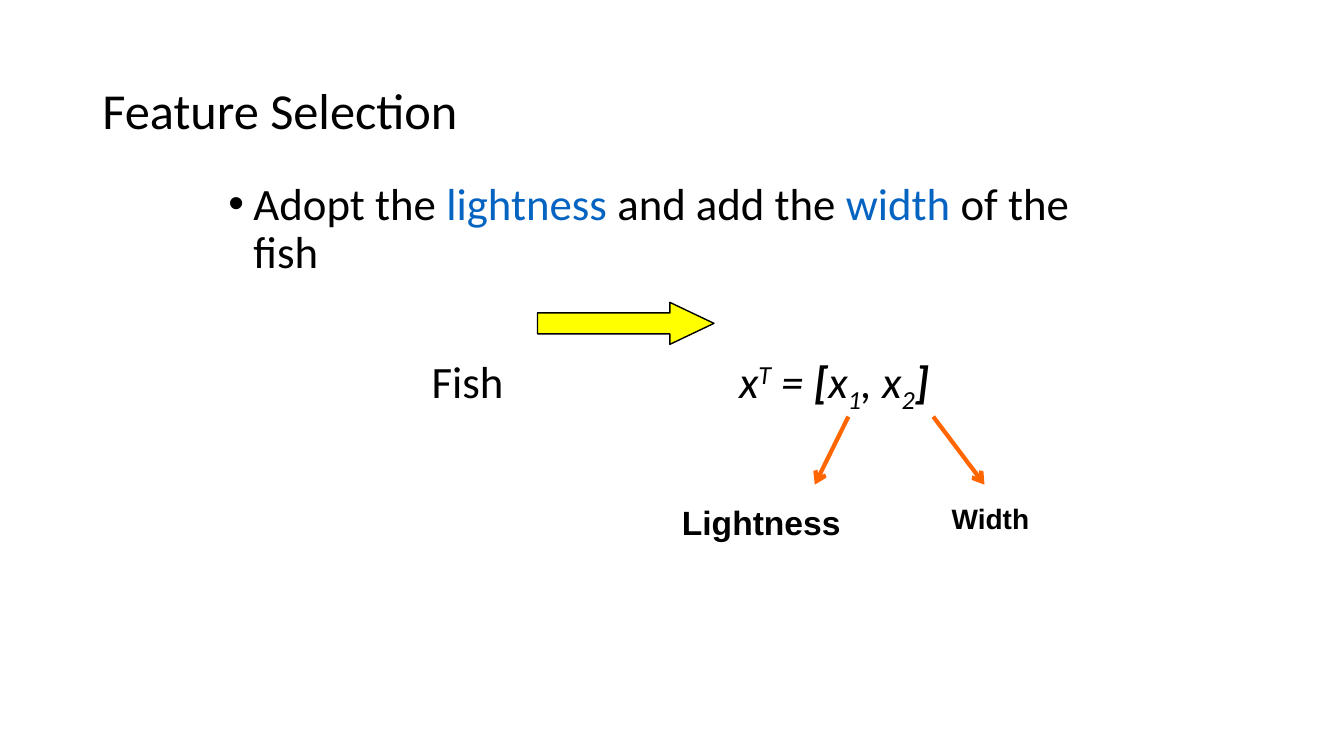
import pptx
import pptx.dml.color
import pptx.enum.shapes
import pptx.enum.text
import pptx.oxml.ns
import pptx.util
from lxml import etree

BLACK = pptx.dml.color.RGBColor(0x00, 0x00, 0x00)
BLUE = pptx.dml.color.RGBColor(0x05, 0x63, 0xC1)
YELLOW = pptx.dml.color.RGBColor(0xFF, 0xFF, 0x00)
ORANGE = pptx.dml.color.RGBColor(0xFF, 0x66, 0x00)

WIDTH = pptx.util.Inches(13.33)
HEIGHT = pptx.util.Inches(7.5)
COLUMNS = 160
ROWS = 90
SUPERSCRIPT = 30000
SUBSCRIPT = -25000


def column(count):
    """Return the length of a number of grid columns."""
    return round(WIDTH * count / COLUMNS)


def row(count):
    """Return the length of a number of grid rows."""
    return round(HEIGHT * count / ROWS)


def place(left, top, width, height):
    """Turn a grid position into slide lengths."""
    return column(left), row(top), column(width), row(height)


def add_run(paragraph, text, size, font="Calibri", color=BLACK, bold=False, italic=False, baseline=0):
    """Add one formatted run to a paragraph."""
    run = paragraph.add_run()
    run.text = text
    run.font.name = font
    run.font.size = pptx.util.Pt(size)
    run.font.color.rgb = color
    run.font.bold = bold
    run.font.italic = italic
    if baseline:
        run.font._element.set("baseline", str(baseline))


def add_text(slide, position, wrap=True, spacing=0.9):
    """Add a text box and return its paragraph."""
    frame = slide.shapes.add_textbox(*place(*position)).text_frame
    frame.word_wrap = wrap
    paragraph = frame.paragraphs[0]
    paragraph.line_spacing = spacing
    return paragraph


def set_title(slide, text):
    """Position and format the title placeholder."""
    title = slide.shapes.title
    title.left, title.top, title.width, title.height = place(11, 4.8, 138, 17.4)
    frame = title.text_frame
    frame.auto_size = pptx.enum.text.MSO_AUTO_SIZE.NONE
    frame.vertical_anchor = pptx.enum.text.MSO_ANCHOR.MIDDLE
    paragraph = frame.paragraphs[0]
    paragraph.alignment = pptx.enum.text.PP_ALIGN.LEFT
    paragraph.line_spacing = 0.9
    add_run(paragraph, text, 36)


def add_bullet(paragraph):
    """Give a paragraph a hanging round bullet."""
    properties = paragraph._p.get_or_add_pPr()
    indent = pptx.util.Inches(0.25)
    properties.set("marL", str(indent))
    properties.set("indent", str(-indent))
    font = etree.SubElement(properties, pptx.oxml.ns.qn("a:buFont"))
    font.set("typeface", "Arial")
    bullet = etree.SubElement(properties, pptx.oxml.ns.qn("a:buChar"))
    bullet.set("char", "•")


def add_block_arrow(slide, position):
    """Add the yellow arrow from the fish to its features."""
    shape = slide.shapes.add_shape(pptx.enum.shapes.MSO_SHAPE.RIGHT_ARROW, *place(*position))
    shape.adjustments[1] = 1.05
    shape.shadow.inherit = False
    shape.fill.solid()
    shape.fill.fore_color.rgb = YELLOW
    shape.line.color.rgb = BLACK
    shape.line.width = pptx.util.Pt(1)


def add_pointer(slide, start, end):
    """Add an orange line with an open arrowhead at its end."""
    connector = slide.shapes.add_connector(
        pptx.enum.shapes.MSO_CONNECTOR.STRAIGHT,
        column(start[0]), row(start[1]), column(end[0]), row(end[1]))
    connector.line.color.rgb = ORANGE
    connector.line.width = pptx.util.Pt(3)
    head = etree.SubElement(connector.line._get_or_add_ln(), pptx.oxml.ns.qn("a:tailEnd"))
    head.set("type", "arrow")
    etree.SubElement(connector._element.spPr, pptx.oxml.ns.qn("a:effectLst"))


def main():
    """Build and save the slide."""
    presentation = pptx.Presentation()
    presentation.slide_width = WIDTH
    presentation.slide_height = HEIGHT
    slide = presentation.slides.add_slide(presentation.slide_layouts[5])
    set_title(slide, "Feature Selection")

    statement = add_text(slide, (26, 21, 110, 14))
    add_bullet(statement)
    for text, color in (("Adopt the ", BLACK), ("lightness", BLUE), (" and add the ", BLACK),
                        ("width", BLUE), (" of the fish", BLACK)):
        add_run(statement, text, 32, color=color)

    add_run(add_text(slide, (50.2, 42.2, 14, 7)), "Fish", 32)
    formula = add_text(slide, (86.8, 41.6, 34, 7))
    for text, baseline, bold in (("x", 0, False), ("T", SUPERSCRIPT, False), (" = ", 0, False),
                                 ("[", 0, True), ("x", 0, False), ("1", SUBSCRIPT, False),
                                 (", x", 0, False), ("2", SUBSCRIPT, False), ("]", 0, True)):
        add_run(formula, text, 32, bold=bold, italic=True, baseline=baseline)

    add_block_arrow(slide, (64, 36, 21, 5))
    for text, size, position, start, end in (
            ("Lightness", 24, (80, 59.2, 24, 6), (101, 49.6), (97, 57.7)),
            ("Width", 20, (112.1, 59.1, 14, 5.2), (111.1, 49.6), (117.2, 57.7))):
        label = add_text(slide, position)
        label.line_spacing = 1.0
        add_run(label, text, size, font="Arial", bold=True)
        add_pointer(slide, start, end)

    presentation.save("out.pptx")


if __name__ == "__main__":
    main()
